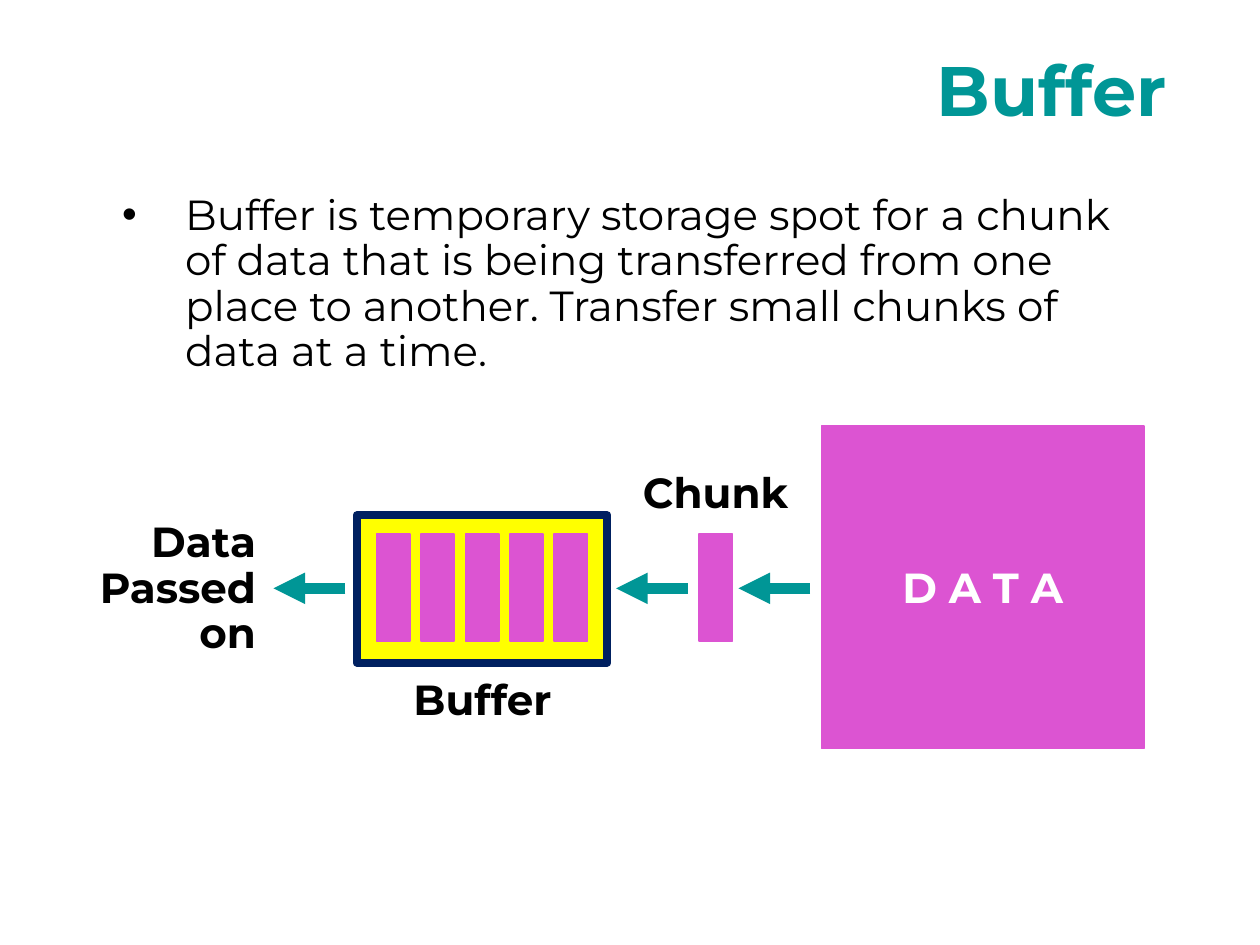
"""Build a slide showing how a buffer passes on chunks of data."""
import pptx
import pptx.util
import pptx.dml.color
import pptx.enum.shapes
import pptx.enum.text
import pptx.oxml.ns
import lxml.etree

Pt = pptx.util.Pt
RGBColor = pptx.dml.color.RGBColor
ALIGN = pptx.enum.text.PP_ALIGN
ANCHOR = pptx.enum.text.MSO_ANCHOR
qn = pptx.oxml.ns.qn

TEAL = RGBColor(0x00, 0x96, 0x96)
PINK = RGBColor(0xDC, 0x54, 0xD2)
YELLOW = RGBColor(0xFF, 0xFF, 0x00)
NAVY = RGBColor(0x00, 0x20, 0x60)
BLACK = RGBColor(0x00, 0x00, 0x00)
WHITE = RGBColor(0xFF, 0xFF, 0xFF)


def write(holder, text, size, color, bold, align, spacing=0.9, anchor=ANCHOR.TOP):
    frame = holder.text_frame
    frame.text = text
    frame.word_wrap = True
    frame.auto_size = pptx.enum.text.MSO_AUTO_SIZE.NONE
    frame.vertical_anchor = anchor
    for paragraph in frame.paragraphs:
        paragraph.alignment = align
        paragraph.line_spacing = spacing
        paragraph.space_before = Pt(0)
        font = paragraph.runs[0].font
        font.name = "Montserrat"
        font.size = Pt(size)
        font.bold = bold
        font.color.rgb = color


def add_block(left, top, width, height, fill=PINK, line=PINK, weight=1):
    block = slide.shapes.add_shape(
        pptx.enum.shapes.MSO_SHAPE.RECTANGLE, Pt(left), Pt(top), Pt(width), Pt(height))
    block.shadow.inherit = False
    block.fill.solid()
    block.fill.fore_color.rgb = fill
    block.line.color.rgb = line
    block.line.width = Pt(weight)


deck = pptx.Presentation()
deck.slide_width, deck.slide_height = Pt(720), Pt(540)
slide = deck.slides.add_slide(deck.slide_layouts[1])

title = slide.shapes.title
title.left, title.top, title.width, title.height = Pt(0), Pt(-0.7), Pt(674), Pt(108.7)
write(title, "Buffer", 40, TEAL, True, ALIGN.RIGHT, anchor=ANCHOR.MIDDLE)

definition = slide.placeholders[1]
definition.left, definition.top = Pt(62.6), Pt(107.3)
definition.width, definition.height = Pt(601.2), Pt(126)
write(definition,
      "Buffer is temporary storage spot for a chunk of data that is being transferred "
      "from one place to another. Transfer small chunks of data at a time.",
      24, BLACK, False, ALIGN.LEFT)
bullet_format = definition.text_frame.paragraphs[0]._p.get_or_add_pPr()
bullet_format.set("marL", str(Pt(36)))
bullet_format.set("indent", str(Pt(-36)))
lxml.etree.SubElement(bullet_format, qn("a:buFont")).set("typeface", "Arial")
lxml.etree.SubElement(bullet_format, qn("a:buChar")).set("char", "•")

chunk_top, chunk_width, chunk_height = 305.3, 19, 61.2
add_block(469.4, 243.4, 184.3, 184.3)
add_block(399.6, chunk_top, chunk_width, chunk_height)
add_block(203.8, 294.5, 143.3, 84.2, YELLOW, NAVY, 4.5)
for slot in range(5):
    add_block(215.2 + slot * 25.4, chunk_top, chunk_width, chunk_height)

flow_y, flow_length = 336.2, 41
for flow_start in (463, 393.1, 197.3):
    flow = slide.shapes.add_connector(
        pptx.enum.shapes.MSO_CONNECTOR.STRAIGHT,
        Pt(flow_start), Pt(flow_y), Pt(flow_start - flow_length), Pt(flow_y))
    flow.line.color.rgb = TEAL
    flow.line.width = Pt(6)
    lxml.etree.SubElement(flow.line._get_or_add_ln(), qn("a:tailEnd")).set("type", "triangle")
    lxml.etree.SubElement(flow._element.spPr, qn("a:effectLst"))

captions = [
    ("D A T A", 469.4, 317.5, 184.3, 36, WHITE, ALIGN.CENTER, 1.0, ANCHOR.MIDDLE),
    ("Data\nPassed\non", 42.5, 294.5, 110.9, 71.3, BLACK, ALIGN.RIGHT, 0.9, ANCHOR.TOP),
    ("Buffer", 220.3, 384.5, 110.9, 35.3, BLACK, ALIGN.CENTER, 0.9, ANCHOR.TOP),
    ("Chunk", 353.5, 266.4, 110.9, 35.3, BLACK, ALIGN.CENTER, 0.9, ANCHOR.TOP),
]
for text, left, top, width, height, color, align, spacing, anchor in captions:
    caption = slide.shapes.add_textbox(Pt(left), Pt(top), Pt(width), Pt(height))
    write(caption, text, 24, color, True, align, spacing, anchor)

deck.save("out.pptx")
